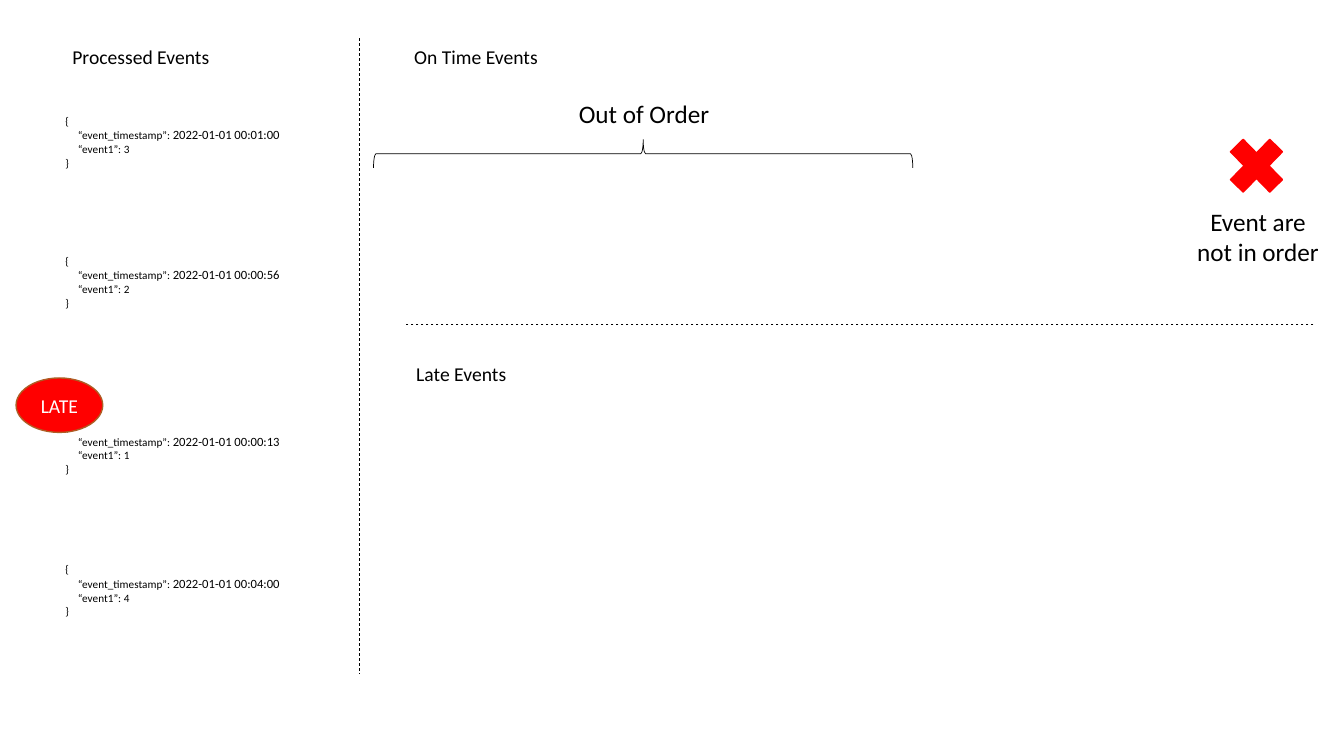
import pptx
import pptx.util
import pptx.dml.color
import pptx.enum.dml
import pptx.enum.shapes
import pptx.enum.text
import pptx.oxml.ns
import lxml.etree

Pt = pptx.util.Pt
SHAPE = pptx.enum.shapes.MSO_SHAPE
MIDDLE = pptx.enum.text.MSO_ANCHOR.MIDDLE
TOP = pptx.enum.text.MSO_ANCHOR.TOP
CENTER = pptx.enum.text.PP_ALIGN.CENTER
LEFT = pptx.enum.text.PP_ALIGN.LEFT

# Content: positions and sizes in points
FONT = "Calibri"
BLACK, WHITE, RED, BROWN = "000000", "FFFFFF", "FF0000", "AF5C24"
HEADINGS = [
    ("Processed Events", 44.6, 28.8),
    ("On Time Events", 288.7, 28.8),
    ("Late Events", 290.2, 254.9),
]
CAPTIONS = [
    ("Out of Order", (389.5, 69.1, 141.1, 24.5)),
    ("Event are not in order", (845.3, 144, 106.6, 49.7)),
]
EVENTS = [  # timestamp, value, top
    ("2022-01-01 00:01:00", 3, 77.8),
    ("2022-01-01 00:00:56", 2, 177.8),
    ("2022-01-01 00:00:13", 1, 296.6),
    ("2022-01-01 00:04:00", 4, 398.2),
]
DIVIDERS = [(257, 27.4, 257, 481.7), (938.2, 231.8, 290.2, 231.8)]
LATE_BADGE = (11.5, 270, 61.9, 38.9)
CROSS = (870.5, 90.7, 54, 55.4)
BRACE = (449.3, -82.8, 20.2, 385.2)
EVENT_LEFT, EVENT_WIDTH, EVENT_HEIGHT = 39.6, 190.8, 47.5
FIELD_INDENT = 9

deck = pptx.Presentation()
deck.slide_width, deck.slide_height = Pt(960), Pt(540)
page = deck.slides.add_slide(deck.slide_layouts[6])


def color(value):
    return pptx.dml.color.RGBColor.from_string(value)


def style(span, size, ink=BLACK):
    span.font.name = FONT
    span.font.size = Pt(size)
    span.font.color.rgb = color(ink)


def add_box(frame):
    box = page.shapes.add_textbox(*map(Pt, frame))
    box.text_frame.word_wrap = True
    return box


def write(box, text, size, ink=BLACK, align=LEFT, anchor=TOP):
    box.text_frame.text = text
    box.text_frame.vertical_anchor = anchor
    para = box.text_frame.paragraphs[0]
    para.alignment = align
    style(para.runs[0], size, ink)


def add_shape(kind, frame, fill, line, width):
    shape = page.shapes.add_shape(kind, *map(Pt, frame))
    shape.shadow.inherit = False
    if fill:
        shape.fill.solid()
        shape.fill.fore_color.rgb = color(fill)
    else:
        shape.fill.background()
    shape.line.color.rgb = color(line)
    shape.line.width = Pt(width)
    return shape


# Headings and dividers
for text, left, top in HEADINGS:
    write(add_box((left, top, 149.8, 24.5)), text, 14)

for ends in DIVIDERS:
    divider = page.shapes.add_connector(
        pptx.enum.shapes.MSO_CONNECTOR.STRAIGHT, *map(Pt, ends))
    divider.line.color.rgb = color(BLACK)
    divider.line.width = Pt(0.5)
    divider.line.dash_style = pptx.enum.dml.MSO_LINE.DASH
    lxml.etree.SubElement(divider.element.spPr, pptx.oxml.ns.qn("a:effectLst"))

# Processed events: braces around two indented fields
for timestamp, value, top in EVENTS:
    box = add_box((EVENT_LEFT, top, EVENT_WIDTH, EVENT_HEIGHT))
    box.text_frame.text = f"{{\n“event_timestamp”: \n“event1”: {value}\n}}"
    paras = box.text_frame.paragraphs
    for para in paras:
        style(para.runs[0], 8)
    for para in paras[1:3]:
        para._p.get_or_add_pPr().set("marL", str(Pt(FIELD_INDENT)))
    span = paras[1].add_run()
    span.text = timestamp
    style(span, 9)

# Late badge
badge = add_shape(SHAPE.OVAL, LATE_BADGE, RED, BROWN, 1)
write(badge, "LATE", 14, WHITE, CENTER, MIDDLE)

# Order markers and their captions
add_shape(SHAPE.MATH_MULTIPLY, CROSS, RED, RED, 1)
brace = add_shape(SHAPE.LEFT_BRACE, BRACE, None, BLACK, 0.5)
brace.rotation = 90
for text, frame in CAPTIONS:
    write(add_box(frame), text, 18, BLACK, CENTER, MIDDLE)

deck.save("out.pptx")
